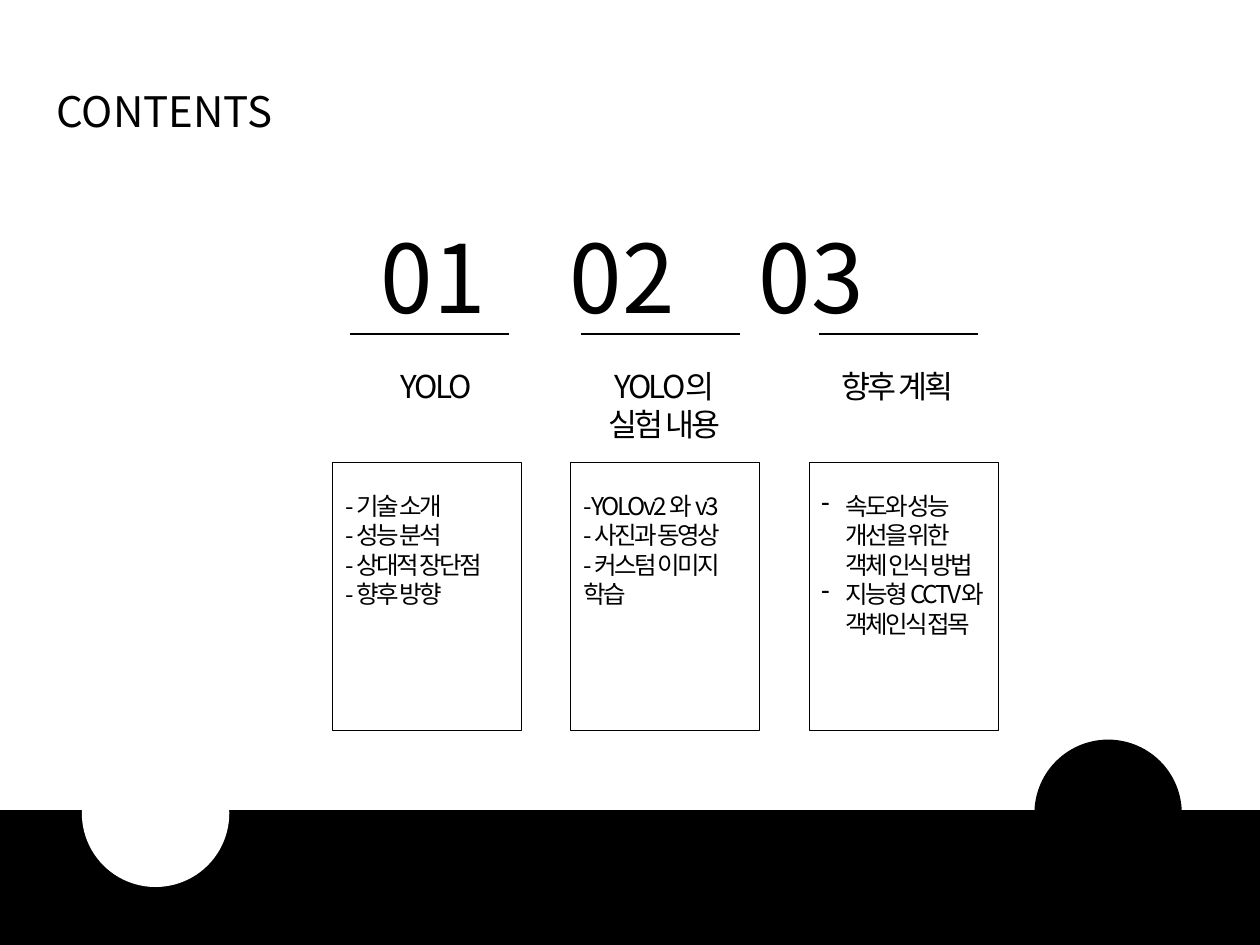
from dataclasses import dataclass

from lxml.etree import SubElement
from pptx import Presentation
from pptx.dml.color import RGBColor
from pptx.enum.shapes import MSO_CONNECTOR, MSO_SHAPE
from pptx.enum.text import PP_ALIGN
from pptx.oxml.ns import qn
from pptx.util import Inches, Pt

COLORS = {"ink": "000000", "paper": "FFFFFF"}
FONT = "Noto Sans CJK KR"


@dataclass(frozen=True)
class Section:
    """One numbered column of the contents."""

    heading: str
    heading_left: float
    heading_width: float
    rule_left: float
    details: str
    bulleted: bool = False


SECTIONS = [
    Section("YOLO", 2.56, 1.81, 2.78, "- 기술 소개\n- 성능 분석\n- 상대적 장단점\n- 향후 방향"),
    Section("YOLO의\n실험 내용", 4.37, 1.81, 4.61,
            "- YOLOv2 와 v3\n- 사진과 동영상\n- 커스텀 이미지 학습"),
    Section("향후 계획", 6.1, 2.05, 6.5,
            "속도와 성능 개선을 위한 객체 인식 방법\n지능형 CCTV와 객체인식 접목", True),
]
CARD_LEFT, CARD_STEP, CARD_WIDTH = 2.64, 1.89, 1.5
NUMBER_TAB, NUMBER_STEP = 2.87, 1.5


def add_dash_bullet(paragraph) -> None:
    """Give a paragraph a hanging dash bullet."""
    properties = paragraph._p.get_or_add_pPr()
    properties.set("marL", str(Inches(0.19)))
    properties.set("indent", str(-Inches(0.19)))
    SubElement(properties, qn("a:buChar")).set("char", "-")


def add_tab_stops(paragraph, positions: list[float]) -> None:
    """Give a paragraph centred tab stops."""
    tabs = SubElement(paragraph._p.get_or_add_pPr(), qn("a:tabLst"))
    for position in positions:
        SubElement(tabs, qn("a:tab"), pos=str(Inches(position)), algn="ctr")


def add_text(slide, text: str, left: float, top: float, width: float, height: float,
             size: int, align=PP_ALIGN.LEFT, tight: bool = False,
             bulleted: bool = False, tabs: tuple = ()) -> None:
    """Add a wrapping text box in the slide font."""
    frame = slide.shapes.add_textbox(
        Inches(left), Inches(top), Inches(width), Inches(height)).text_frame
    frame.word_wrap = True
    frame.margin_top = Inches(0.05) + Pt(size * 0.09)
    frame.text = text
    for paragraph in frame.paragraphs:
        paragraph.alignment = align
        paragraph.line_spacing = Pt(size * 1.2)
        if bulleted:
            add_dash_bullet(paragraph)
        if tabs:
            add_tab_stops(paragraph, tabs)
        for run in paragraph.runs:
            run.font.size = Pt(size)
            run.font.name = FONT
            run.font.color.rgb = RGBColor.from_string(COLORS["ink"])
            properties = run.font._element
            SubElement(properties, qn("a:ea")).set("typeface", FONT)
            if tight:
                properties.set("spc", "-150")


def add_block(slide, preset, left: float, top: float, width: float, height: float,
              color: str):
    """Add a filled shape without outline or shadow."""
    block = slide.shapes.add_shape(
        preset, Inches(left), Inches(top), Inches(width), Inches(height))
    block.shadow.inherit = False
    block.fill.solid()
    block.fill.fore_color.rgb = RGBColor.from_string(COLORS[color])
    block.line.fill.background()
    return block


def add_card(slide, left: float) -> None:
    """Add a translucent card with a hairline border."""
    card = add_block(slide, MSO_SHAPE.RECTANGLE, left, 3.67, CARD_WIDTH, 2.13, "paper")
    tint = card.fill._xPr.find(qn("a:solidFill"))[0]
    SubElement(tint, qn("a:alpha")).set("val", "80000")
    card.line.color.rgb = RGBColor.from_string(COLORS["ink"])
    card.line.width = Pt(0.25)


def add_rule(slide, left: float) -> None:
    """Add the thin line under a section number."""
    rule = slide.shapes.add_connector(
        MSO_CONNECTOR.STRAIGHT, Inches(left), Inches(2.65), Inches(left + 1.26), Inches(2.65))
    rule.line.color.rgb = RGBColor.from_string(COLORS["ink"])
    rule.line.width = Pt(0.75)
    SubElement(rule._element.spPr, qn("a:effectLst"))


def add_section(slide, index: int, section: Section) -> None:
    """Draw one column with its rule, heading and card."""
    card_left = CARD_LEFT + index * CARD_STEP
    add_card(slide, card_left)
    add_rule(slide, section.rule_left)
    add_text(slide, section.heading, section.heading_left, 2.84, section.heading_width,
             0.71 if "\n" in section.heading else 0.4, 18, PP_ALIGN.CENTER, tight=True)
    add_text(slide, section.details, card_left, 3.83, CARD_WIDTH, 1.5, 14,
             tight=True, bulleted=section.bulleted)


def main() -> None:
    """Build the contents slide."""
    deck = Presentation()
    deck.slide_width, deck.slide_height = Inches(10), Inches(7.5)
    slide = deck.slides.add_slide(deck.slide_layouts[6])
    slide.background.fill.solid()
    slide.background.fill.fore_color.rgb = RGBColor.from_string(COLORS["paper"])

    add_text(slide, "CONTENTS", 0.35, 0.6, 4.57, 0.5, 24)
    number_tabs = tuple(NUMBER_TAB + i * NUMBER_STEP for i in range(len(SECTIONS)))
    numbers = "".join(f"\t{i:02}" for i in range(1, len(SECTIONS) + 1))
    add_text(slide, numbers, 0.47, 1.62, 9.29, 1.01, 54, tabs=number_tabs)
    for index, section in enumerate(SECTIONS):
        add_section(slide, index, section)

    add_block(slide, MSO_SHAPE.OVAL, 8.21, 5.87, 1.17, 1.17, "ink")
    add_block(slide, MSO_SHAPE.RECTANGLE, 0, 6.43, 10, 1.18, "ink")
    add_block(slide, MSO_SHAPE.OVAL, 0.65, 5.87, 1.17, 1.17, "paper")
    deck.save("out.pptx")


if __name__ == "__main__":
    main()
